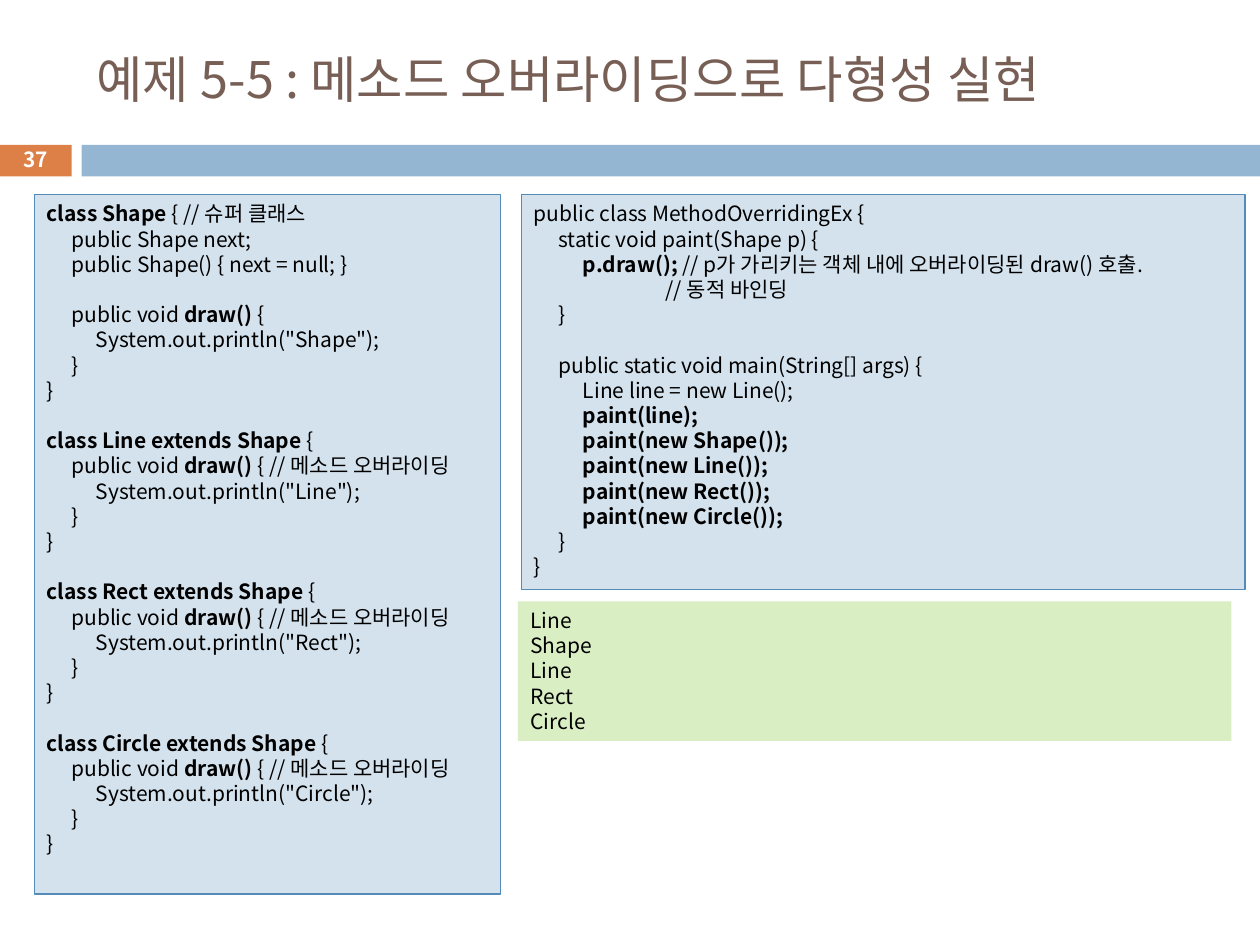
from lxml import etree
from pptx import Presentation
from pptx.dml.color import RGBColor
from pptx.enum import shapes, text
from pptx.oxml import ns
from pptx.util import Pt

FONT = "Noto Sans CJK KR"
LINE_PITCH = 14.4
TAB_WIDTH = 14

SUPERCLASS = """**class Shape **{ // 슈퍼 클래스
\tpublic Shape next;
\tpublic Shape() { next = null; }

\tpublic void **draw() **{
\t\tSystem.out.println("Shape");
\t}
}"""

SUBCLASS = """

**class NAME extends Shape **{
\tpublic void **draw() **{ // 메소드 오버라이딩
\t\tSystem.out.println("NAME");
\t}
}"""

MAIN_CLASS = """public class MethodOverridingEx {
\tstatic void paint(Shape p) {
\t\t**p.draw();** // p가 가리키는 객체 내에 오버라이딩된 draw() 호출.
\t\t\t\t\t  // 동적 바인딩
\t}

\tpublic static void main(String[] args) {
\t\tLine line = new Line();
\t\t**paint(line);**
\t\t**paint(new Shape());**
\t\t**paint(new Line());**
\t\t**paint(new Rect());**
\t\t**paint(new Circle());**
\t}
}"""

OUTPUT = "Line\nShape\nLine\nRect\nCircle"


def color(value):
    return RGBColor.from_string(value)


def style(paragraph, size, ink, bold=None):
    font = paragraph.font
    font.name, font.size, font.bold = FONT, Pt(size), bold
    font.color.rgb = color(ink)


def add_box(slide, place, fill, border=None):
    box = slide.shapes.add_shape(
        shapes.MSO_SHAPE.RECTANGLE, *(Pt(length) for length in place))
    box.shadow.inherit = False
    box.fill.solid()
    box.fill.fore_color.rgb = color(fill)
    if border:
        box.line.color.rgb = color(border)
        box.line.width = Pt(0.75)
    else:
        box.line.fill.background()
    return box


def add_tabs(paragraph, count=5):
    properties = paragraph._p.get_or_add_pPr()
    tabs = etree.SubElement(properties, ns.qn("a:tabLst"))
    for stop in range(1, count + 1):
        etree.SubElement(tabs, ns.qn("a:tab"),
                         pos=str(Pt(TAB_WIDTH * stop)), algn="l")


def add_code_line(paragraph, line, after_gap):
    add_tabs(paragraph)
    paragraph.alignment = text.PP_ALIGN.LEFT
    paragraph.line_spacing = Pt(LINE_PITCH)
    if after_gap:
        paragraph.space_before = Pt(LINE_PITCH)
    style(paragraph, 12, "000000")
    for index, part in enumerate(line.split("**")):
        if part:
            run = paragraph.add_run()
            run.text = part
            if index % 2:
                run.font.bold = True


def add_listing(slide, place, code, fill, border=None):
    frame = add_box(slide, place, fill, border).text_frame
    frame.word_wrap = True
    frame.vertical_anchor = text.MSO_ANCHOR.TOP
    for block_index, block in enumerate(code.split("\n\n")):
        for line_index, line in enumerate(block.split("\n")):
            first = block_index == line_index == 0
            paragraph = frame.paragraphs[0] if first else frame.add_paragraph()
            add_code_line(paragraph, line, block_index and line_index == 0)


def set_title(slide, wording):
    title = slide.shapes.title
    title.left, title.top, title.width, title.height = (
        Pt(length) for length in (48, 18, 642, 53.5))
    frame = title.text_frame
    frame.text = wording
    frame.word_wrap = True
    frame.vertical_anchor = text.MSO_ANCHOR.MIDDLE
    frame.paragraphs[0].alignment = text.PP_ALIGN.LEFT
    style(frame.paragraphs[0], 28.8, "775F55")


def add_page_number(slide, number):
    box = slide.shapes.add_textbox(Pt(-0.5), Pt(81.5), Pt(41.5), Pt(19.5))
    frame = box.text_frame
    frame.word_wrap = True
    frame.margin_top = frame.margin_bottom = 0
    frame.vertical_anchor = text.MSO_ANCHOR.MIDDLE
    frame.text = number
    frame.paragraphs[0].alignment = text.PP_ALIGN.CENTER
    style(frame.paragraphs[0], 11.9, "FFFFFF", True)


def main():
    deck = Presentation()
    deck.slide_width, deck.slide_height = Pt(720), Pt(540)
    slide = deck.slides.add_slide(deck.slide_layouts[5])

    add_box(slide, (-0.5, 82.8, 41.5, 18), "DD8047")
    add_box(slide, (46.6, 82.8, 673.4, 18), "94B6D2")
    set_title(slide, "예제 5-5 : 메소드 오버라이딩으로 다형성 실현")
    add_page_number(slide, "37")

    subclasses = "".join(
        SUBCLASS.replace("NAME", name) for name in ("Line", "Rect", "Circle"))
    add_listing(slide, (19.7, 111.3, 266.4, 399.6),
                SUPERCLASS + subclasses, "D4E2ED", "558BB8")
    add_listing(slide, (298, 111.3, 413.5, 225.5),
                MAIN_CLASS, "D4E2ED", "558BB8")
    add_listing(slide, (296, 343.6, 407.7, 79.8), OUTPUT, "DAEEC4")

    deck.save("out.pptx")


if __name__ == "__main__":
    main()
